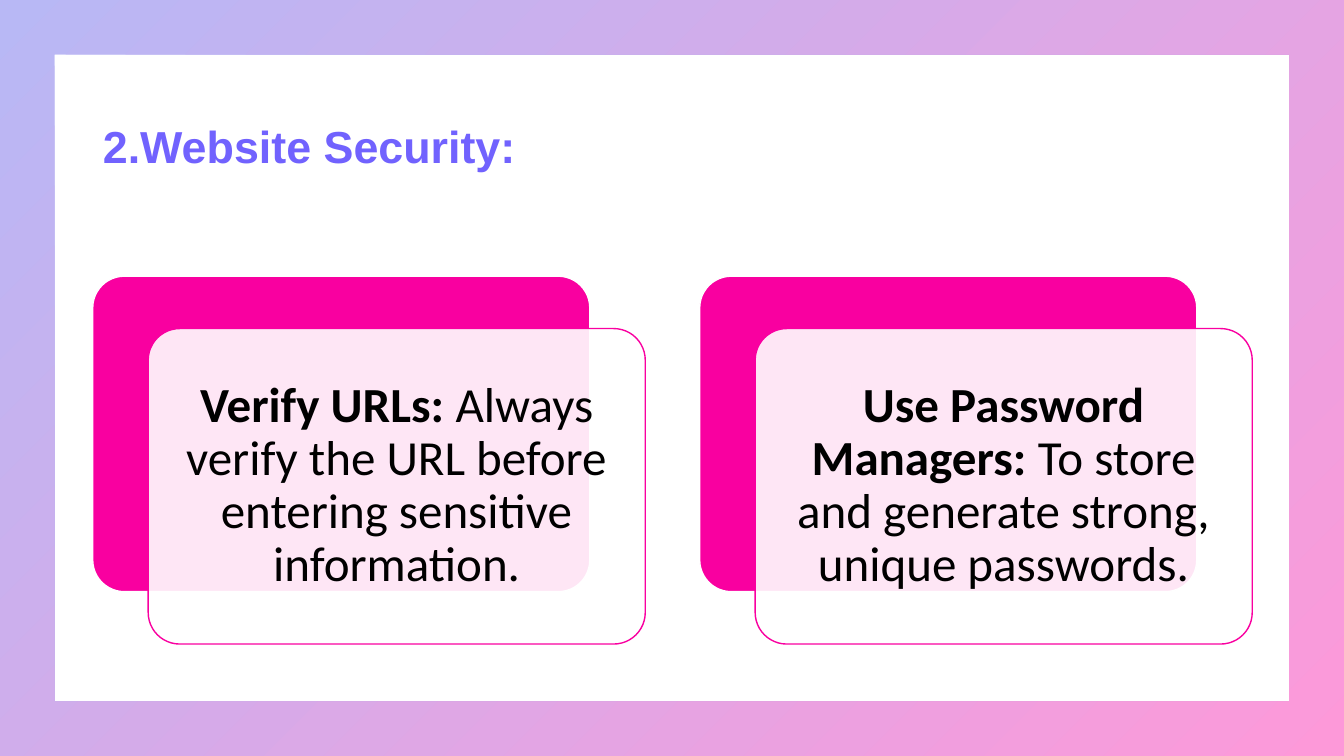
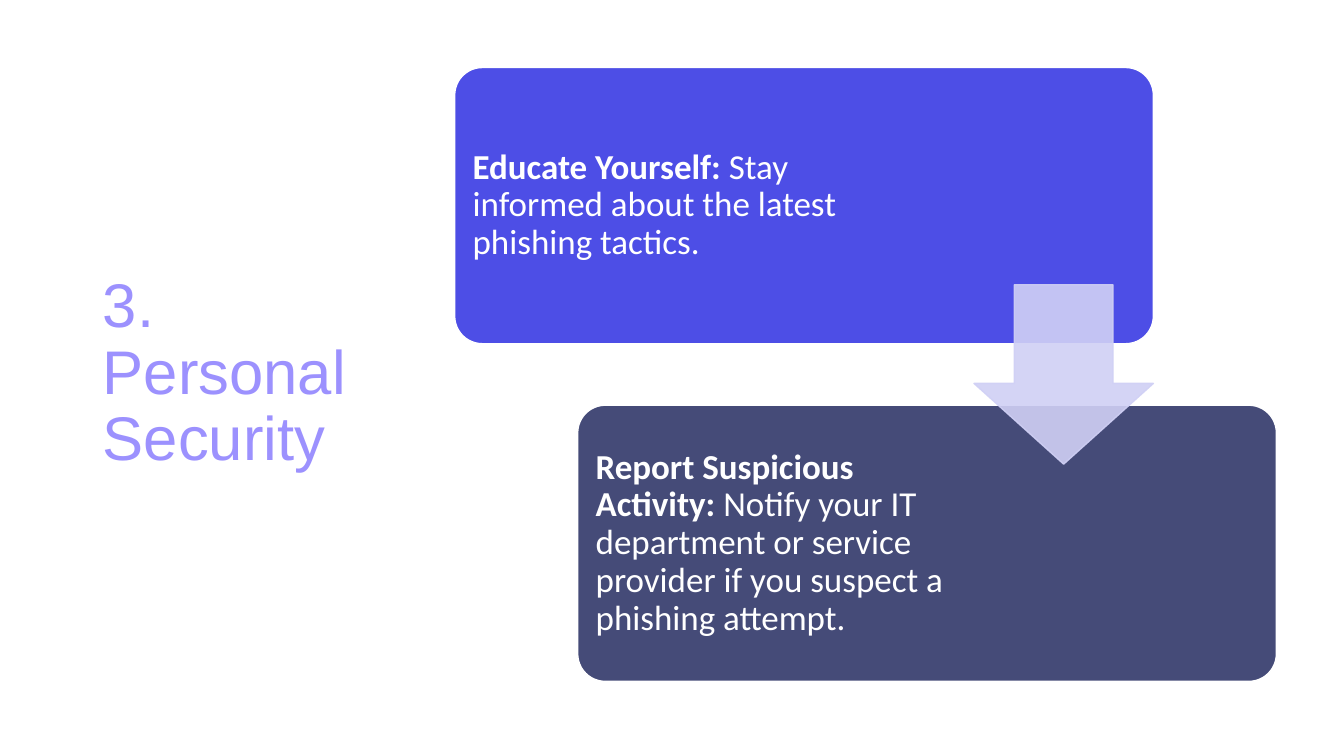
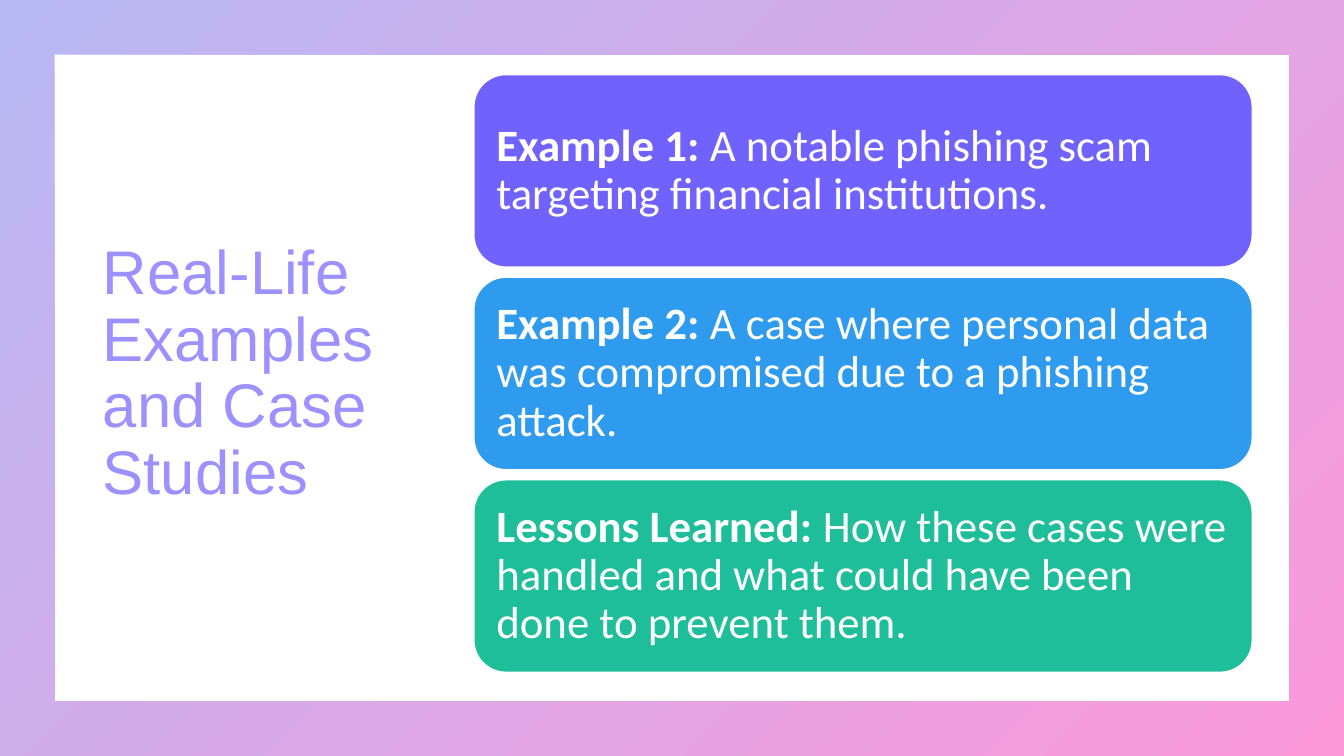
"""Build three slides on protecting yourself from phishing."""
import pptx
import pptx.dml.color
import pptx.enum.shapes
import pptx.enum.text
import pptx.oxml
import pptx.oxml.ns
import pptx.util
from lxml import etree

RGBColor = pptx.dml.color.RGBColor
MSO_SHAPE = pptx.enum.shapes.MSO_SHAPE
PP_ALIGN = pptx.enum.text.PP_ALIGN
Inches = pptx.util.Inches
Pt = pptx.util.Pt
qn = pptx.oxml.ns.qn

WHITE = RGBColor(0xFF, 0xFF, 0xFF)
BLACK = RGBColor(0x00, 0x00, 0x00)
PINK = RGBColor(0xF9, 0x00, 0xA0)
BLUE = RGBColor(0x4D, 0x4E, 0xE6)
SLATE = RGBColor(0x45, 0x4B, 0x78)
VIOLET = RGBColor(0x71, 0x62, 0xFE)
SKY = RGBColor(0x2F, 0x9B, 0xEF)
GREEN = RGBColor(0x1E, 0xBE, 0x9B)
PALE_VIOLET = RGBColor(0x9C, 0x91, 0xFE)
LAVENDER = RGBColor(0xD0, 0xD0, 0xF5)
FRAME_START = RGBColor(0xB8, 0xB8, 0xF5)
FRAME_END = RGBColor(0xFD, 0x99, 0xD9)

WIDTH, HEIGHT = 13.33, 7.5
LEFT = 0.92
TITLE_FONT, BODY_FONT = "Arial", "Calibri"

WEBSITE_TITLE = "2.Website Security:"
WEBSITE_TIPS = [
    ("Verify URLs:", " Always verify the URL before entering sensitive information."),
    ("Use Password Managers:", " To store and generate strong, unique passwords."),
]
PERSONAL_TITLE = "3. Personal Security"
PERSONAL_STEPS = [
    ("Educate Yourself:", " Stay informed about the latest phishing tactics.", BLUE, 2.77),
    ("Report Suspicious Activity:",
     " Notify your IT department or service provider if you suspect a phishing attempt.",
     SLATE, 3.1),
]
CASES_TITLE = "Real-Life Examples and Case Studies"
CASES = [
    ("Example 1:", " A notable phishing scam targeting financial institutions.", VIOLET),
    ("Example 2:", " A case where personal data was compromised due to a phishing attack.", SKY),
    ("Lessons Learned:",
     " How these cases were handled and what could have been done to prevent them.", GREEN),
]


def add_shape(slide, kind, box, fill, line=WHITE, adjustments=()):
    sp = slide.shapes.add_shape(kind, *map(Inches, box))
    sp.shadow.inherit = False
    sp.fill.solid()
    sp.fill.fore_color.rgb = fill
    sp.line.color.rgb = line
    sp.line.width = Pt(1)
    for i, value in enumerate(adjustments):
        sp.adjustments[i] = value
    return sp


def set_alpha(sp, percent, path="a:solidFill"):
    steps = path.replace("a:solidFill", qn("a:solidFill")) + "/" + qn("a:srgbClr")
    for color in sp._element.spPr.iterfind(steps):
        etree.SubElement(color, qn("a:alpha")).set("val", str(percent * 1000))


def write_card(sp, label, text, size, inset, color=WHITE, align=PP_ALIGN.LEFT, right=None):
    tf = sp.text_frame
    tf.word_wrap = True
    tf.vertical_anchor = pptx.enum.text.MSO_ANCHOR.MIDDLE
    tf.margin_left = tf.margin_top = tf.margin_bottom = Inches(inset)
    tf.margin_right = Inches(inset if right is None else right)
    p = tf.paragraphs[0]
    p.alignment = align
    p.line_spacing = 0.9
    p.font.name, p.font.size, p.font.color.rgb = BODY_FONT, Pt(size), color
    for content, bold in ((label, True), (text, False)):
        r = p.add_run()
        r.text = content
        r.font.bold = bold


def add_frame(slide):
    sp = add_shape(slide, MSO_SHAPE.FRAME, (0, 0, WIDTH, HEIGHT), WHITE, adjustments=[0.072])
    sp.line.fill.background()
    sp.fill.gradient()
    sp.fill.gradient_angle = 315
    for stop, color, position in zip(sp.fill.gradient_stops, (FRAME_START, FRAME_END), (0, 1)):
        stop.color.rgb = color
        stop.position = position


def add_slide(prs, title, box, size=44, color=PALE_VIOLET, bold=False, framed=True):
    slide = prs.slides.add_slide(prs.slide_layouts[5])
    if framed:
        add_frame(slide)
    sp = slide.shapes.title
    sp.left, sp.top, sp.width, sp.height = map(Inches, box)
    tf = sp.text_frame
    tf.text = title
    tf.word_wrap = True
    tf.auto_size = pptx.enum.text.MSO_AUTO_SIZE.NONE
    tf.vertical_anchor = pptx.enum.text.MSO_ANCHOR.MIDDLE
    p = tf.paragraphs[0]
    p.alignment = PP_ALIGN.LEFT
    p.line_spacing = 0.9 if size == 44 else 1.0
    p.font.name, p.font.size, p.font.bold = TITLE_FONT, Pt(size), bold
    p.font.color.rgb = color
    return slide


def build_website(prs):
    slide = add_slide(prs, WEBSITE_TITLE, (LEFT, 0.74, 11.5, 1.4), 32, VIOLET, True)
    top, width, height, step = 2.74, 4.93, 3.13, 6.02
    shift_x, shift_y = 0.55, 0.52
    for i, (label, text) in enumerate(WEBSITE_TIPS):
        x = LEFT + i * step
        add_shape(slide, MSO_SHAPE.ROUNDED_RECTANGLE, (x, top, width, height),
                  PINK, adjustments=[0.1])
        card = add_shape(slide, MSO_SHAPE.ROUNDED_RECTANGLE,
                         (x + shift_x, top + shift_y, width, height), WHITE, PINK, [0.1])
        set_alpha(card, 90)
        write_card(card, label, text, 35, 0.15, BLACK, PP_ALIGN.CENTER)


def build_personal(prs):
    slide = add_slide(prs, PERSONAL_TITLE, (LEFT, 0.67, 3.23, 6.09), framed=False)
    left, top, width, height = 4.51, 0.67, 6.93, 2.74
    step_x, step_y, arrow_size = 1.22, 3.35, 1.78
    for i, (label, text, color, right) in enumerate(PERSONAL_STEPS):
        box = (left + i * step_x, top + i * step_y, width, height)
        card = add_shape(slide, MSO_SHAPE.ROUNDED_RECTANGLE, box, color, adjustments=[0.1])
        write_card(card, label, text, 25, 0.1, right=right)
    middle = top + (height + step_y) / 2
    arrow = add_shape(slide, MSO_SHAPE.DOWN_ARROW,
                      (left + width - arrow_size, middle - arrow_size / 2, arrow_size, arrow_size),
                      LAVENDER, LAVENDER, [0.55, 0.45])
    set_alpha(arrow, 90, ".//a:solidFill")


def build_cases(prs):
    slide = add_slide(prs, CASES_TITLE, (LEFT, 0.67, 3.5, 6.09))
    left, top, width, height, gap = 4.7, 0.74, 7.72, 1.91, 0.1
    for i, (label, text, color) in enumerate(CASES):
        card = add_shape(slide, MSO_SHAPE.ROUNDED_RECTANGLE,
                         (left, top + i * (height + gap), width, height), color)
        write_card(card, label, text, 32, 0.13)


def main():
    prs = pptx.Presentation()
    prs.slide_width, prs.slide_height = Inches(WIDTH), Inches(HEIGHT)
    build_website(prs)
    build_personal(prs)
    build_cases(prs)
    prs.save("out.pptx")


if __name__ == "__main__":
    main()
